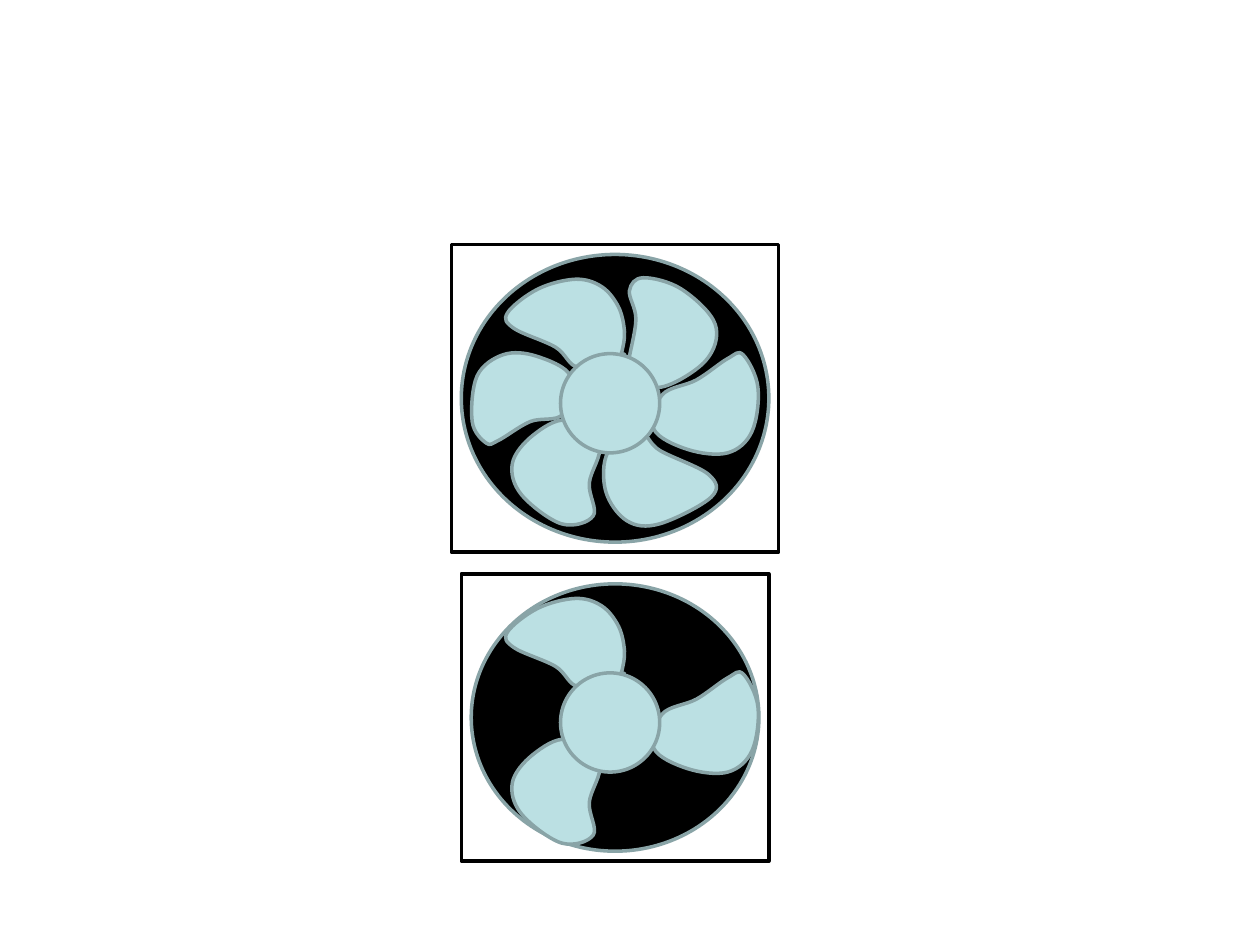
from pptx import Presentation
from pptx.dml.color import RGBColor
from pptx.enum.shapes import MSO_SHAPE
from pptx.oxml.ns import qn
from pptx.util import Cm, Pt
from lxml import etree

RECTANGLE = MSO_SHAPE.RECTANGLE
OVAL = MSO_SHAPE.OVAL
WHITE, BLACK, PALE_BLUE, GREY_BLUE = "FFFFFF", "000000", "BBE0E3", "89A4A7"
RIM_GAP = 0.2
HUB_RADIUS = 1.0
HUB_SHIFT_X, HUB_SHIFT_Y = -0.1, 0.1

THREE_BLADES = [
    [(-1.94, -1.51), (-1.1, -1.13), (-0.62, -0.72), (0.24, -0.98),
     (0.19, -0.95), (0.24, -1.05), (0.29, -1.44), (0.17, -1.94),
     (-0.17, -2.35), (-0.7, -2.5), (-1.46, -2.3), (-2.07, -1.82)],
    [(2.37, -0.9), (1.74, -0.47), (1.05, -0.17), (0.88, 0.52), (1.56, 0.93),
     (2.37, 1.0), (2.86, 0.57), (2.98, -0.32), (2.68, -0.98)],
    [(-0.34, 2.27), (-0.42, 1.61), (-0.22, 0.83), (-0.88, 0.34),
     (-1.56, 0.65), (-1.97, 1.21), (-1.79, 1.84), (-0.98, 2.43)],
]
SIX_BLADES = THREE_BLADES + [
    [(0.39, -2.27), (0.52, -1.69), (0.37, -0.83), (0.42, -0.77), (0.98, -0.32),
     (1.92, -0.85), (2.12, -1.59), (1.44, -2.3), (0.67, -2.53)],
    [(1.99, 1.44), (1.0, 0.95), (0.6, 0.6), (-0.04, 0.98),
     (-0.09, 1.77), (0.34, 2.37), (1.0, 2.43), (2.04, 1.89)],
    [(-2.25, 0.75), (-1.61, 0.37), (-0.95, 0.22), (-0.8, -0.55), (-1.49, -0.95),
     (-2.15, -0.98), (-2.68, -0.55), (-2.78, 0.37), (-2.5, 0.8)],
]


def rgb(value):
    """Turn a hex string into a colour."""
    return RGBColor.from_string(value)


def paint(shape, fill, line):
    """Give a shape a flat fill and a 2 pt outline."""
    shape.shadow.inherit = False
    shape.fill.solid()
    shape.fill.fore_color.rgb = rgb(fill)
    shape.line.color.rgb = rgb(line)
    shape.line.width = Pt(2)


def add_preset(slide, preset, left, top, width, height, fill, line):
    """Add a painted preset shape, measured in centimetres."""
    shape = slide.shapes.add_shape(preset, Cm(left), Cm(top), Cm(width), Cm(height))
    paint(shape, fill, line)


def handle(knot, before, after):
    """Return the control point beside a knot, along its neighbours' chord."""
    return tuple(k + (a - b) / 6 for k, b, a in zip(knot, before, after))


def round_outline(shape):
    """Turn the straight segments of a closed freeform into smooth curves."""
    segments = list(shape._element.iter(qn("a:lnTo")))
    ends = [(int(segment[0].get("x")), int(segment[0].get("y")))
            for segment in segments]
    count = len(ends)
    for i, segment in enumerate(segments):
        before, start, end, after = (ends[(i + k) % count] for k in (-2, -1, 0, 1))
        segment.tag = qn("a:cubicBezTo")
        segment.remove(segment[0])
        for x, y in (handle(start, before, end), handle(end, after, start), end):
            etree.SubElement(segment, qn("a:pt"), x=str(round(x)), y=str(round(y)))


def add_blade(slide, hub_x, hub_y, knots):
    """Add one curved blade whose knots are relative to the hub centre."""
    outline = [(Cm(hub_x + x), Cm(hub_y + y)) for x, y in knots]
    builder = slide.shapes.build_freeform(*outline[0])
    builder.add_line_segments(outline[1:] + outline[:1], close=True)
    blade = builder.convert_to_shape()
    round_outline(blade)
    paint(blade, PALE_BLUE, GREY_BLUE)


def add_fan(slide, left, top, width, height, blades):
    """Draw a framed fan inside the given box."""
    add_preset(slide, RECTANGLE, left, top, width, height, WHITE, BLACK)
    add_preset(slide, OVAL, left + RIM_GAP, top + RIM_GAP,
               width - 2 * RIM_GAP, height - 2 * RIM_GAP, BLACK, GREY_BLUE)
    hub_x = left + width / 2 + HUB_SHIFT_X
    hub_y = top + height / 2 + HUB_SHIFT_Y
    for knots in blades:
        add_blade(slide, hub_x, hub_y, knots)
    add_preset(slide, OVAL, hub_x - HUB_RADIUS, hub_y - HUB_RADIUS,
               2 * HUB_RADIUS, 2 * HUB_RADIUS, PALE_BLUE, GREY_BLUE)


def main():
    """Build the slide with the two fans."""
    deck = Presentation()
    deck.slide_width, deck.slide_height = Cm(25.4), Cm(19.05)
    slide = deck.slides.add_slide(deck.slide_layouts[6])
    add_fan(slide, 9.1, 4.93, 6.6, 6.2, SIX_BLADES)
    add_fan(slide, 9.3, 11.57, 6.2, 5.79, THREE_BLADES)
    deck.save("out.pptx")


if __name__ == "__main__":
    main()
